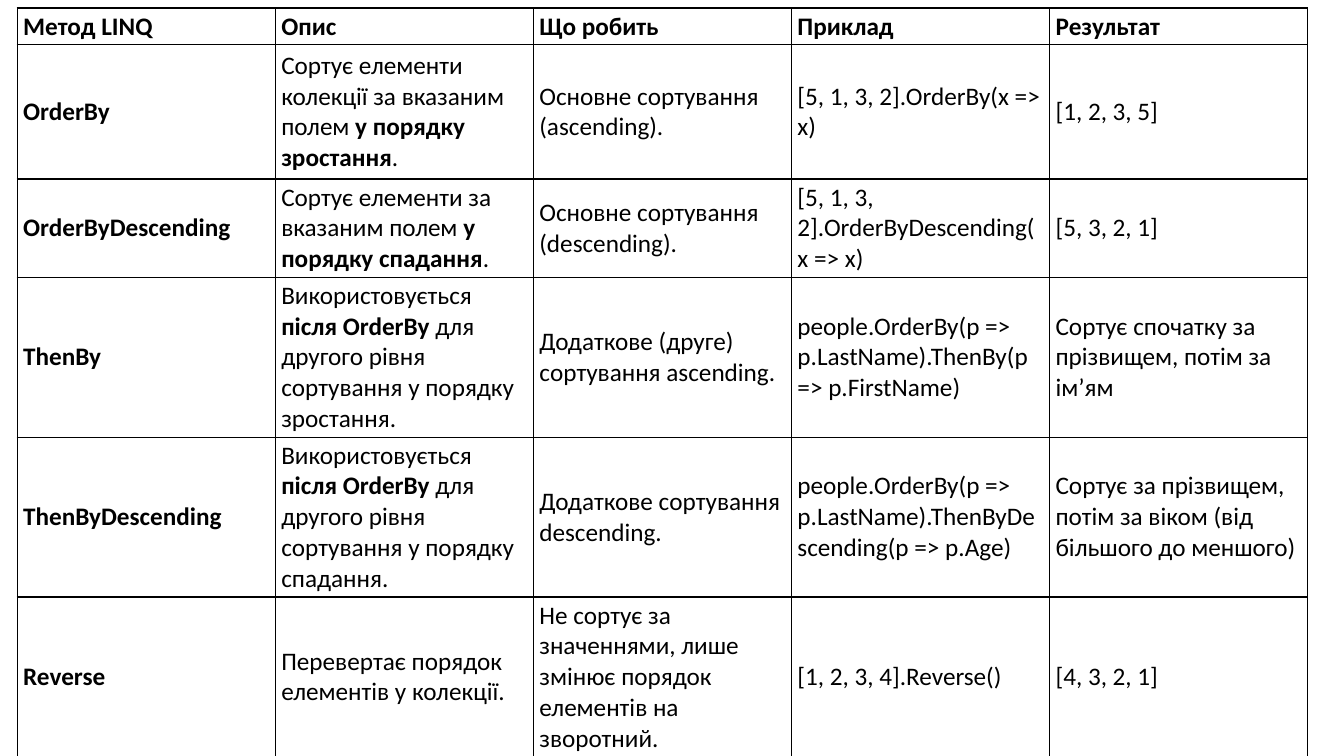
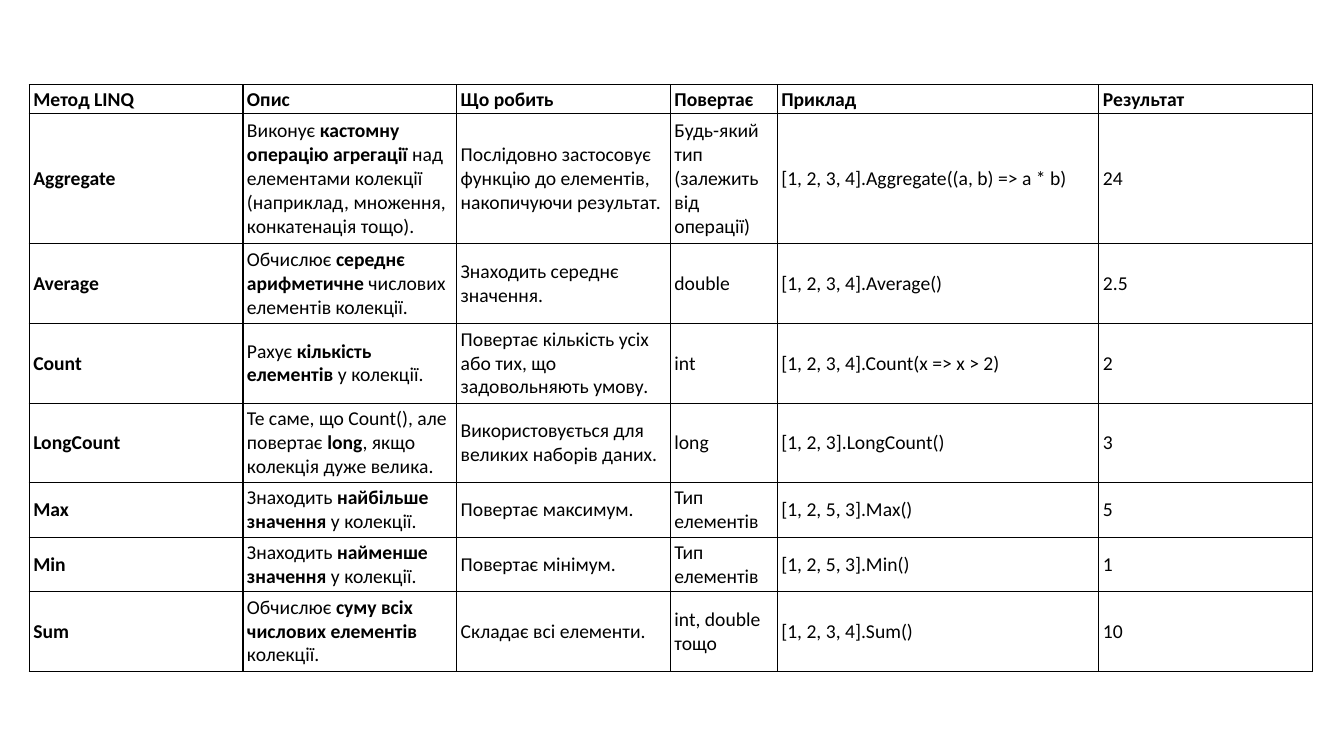
"""Builds two slides of tables that describe LINQ sorting and aggregation methods."""
import pptx
import pptx.dml.color
import pptx.enum.text
import pptx.oxml.ns
import pptx.util
from lxml import etree

Inches, Pt = pptx.util.Inches, pptx.util.Pt

COLORS = {"text": "000000", "border": "000000"}
FONT = "Calibri"
BORDER_WIDTH = Pt(1)

SORTING = {
    "left": 0.17, "top": 0.08, "size": 18, "margins": (0.06, 0.03),
    "widths": [2.56] * 5,
    "heights": [0.26, 1.33, 0.83, 1.33, 1.33, 1.33],
    "rows": [
        ("Метод LINQ", "Опис", "Що робить", "Приклад", "Результат"),
        ("OrderBy",
         "Сортує елементи колекції за вказаним полем **у порядку зростання**.",
         "Основне сортування (ascending).",
         "[5, 1, 3, 2].OrderBy(x => x)",
         "[1, 2, 3, 5]"),
        ("OrderByDescending",
         "Сортує елементи за вказаним полем **у порядку спадання**.",
         "Основне сортування (descending).",
         "[5, 1, 3, 2].OrderByDescending(x => x)",
         "[5, 3, 2, 1]"),
        ("ThenBy",
         "Використовується **після OrderBy** для другого рівня сортування у порядку зростання.",
         "Додаткове (друге) сортування ascending.",
         "people.OrderBy(p => p.LastName).ThenBy(p => p.FirstName)",
         "Сортує спочатку за прізвищем, потім за ім’ям"),
        ("ThenByDescending",
         "Використовується **після OrderBy** для другого рівня сортування у порядку спадання.",
         "Додаткове сортування descending.",
         "people.OrderBy(p => p.LastName).ThenByDescending(p => p.Age)",
         "Сортує за прізвищем, потім за віком (від більшого до меншого)"),
        ("Reverse",
         "Перевертає порядок елементів у колекції.",
         "Не сортує за значеннями, лише змінює порядок елементів на зворотний.",
         "[1, 2, 3, 4].Reverse()",
         "[4, 3, 2, 1]"),
    ],
}

AGGREGATION = {
    "left": 0.29, "top": 0.84, "size": 14, "margins": (0.04, 0.02),
    "widths": [2.12, 2.12, 2.12, 1.06, 3.19, 2.12],
    "heights": [0.29, 1.29, 0.79, 0.79, 0.79, 0.54, 0.54, 0.79],
    "rows": [
        ("Метод LINQ", "Опис", "Що робить", "Повертає", "Приклад", "Результат"),
        ("Aggregate",
         "Виконує **кастомну операцію агрегації** над елементами колекції "
         "(наприклад, множення, конкатенація тощо).",
         "Послідовно застосовує функцію до елементів, накопичуючи результат.",
         "Будь-який тип (залежить від операції)",
         "[1, 2, 3, 4].Aggregate((a, b) => a * b)",
         "24"),
        ("Average",
         "Обчислює **середнє арифметичне** числових елементів колекції.",
         "Знаходить середнє значення.",
         "double",
         "[1, 2, 3, 4].Average()",
         "2.5"),
        ("Count",
         "Рахує **кількість елементів** у колекції.",
         "Повертає кількість усіх або тих, що задовольняють умову.",
         "int",
         "[1, 2, 3, 4].Count(x => x > 2)",
         "2"),
        ("LongCount",
         "Те саме, що Count(), але повертає **long**, якщо колекція дуже велика.",
         "Використовується для великих наборів даних.",
         "long",
         "[1, 2, 3].LongCount()",
         "3"),
        ("Max",
         "Знаходить **найбільше значення** у колекції.",
         "Повертає максимум.",
         "Тип елементів",
         "[1, 2, 5, 3].Max()",
         "5"),
        ("Min",
         "Знаходить **найменше значення** у колекції.",
         "Повертає мінімум.",
         "Тип елементів",
         "[1, 2, 5, 3].Min()",
         "1"),
        ("Sum",
         "Обчислює **суму всіх числових елементів** колекції.",
         "Складає всі елементи.",
         "int, double тощо",
         "[1, 2, 3, 4].Sum()",
         "10"),
    ],
}


def add_borders(cell):
    qn = pptx.oxml.ns.qn
    tc_pr = cell._tc.get_or_add_tcPr()
    for side in ("lnL", "lnR", "lnT", "lnB"):
        line = etree.SubElement(tc_pr, qn(f"a:{side}"), w=str(int(BORDER_WIDTH)))
        fill = etree.SubElement(line, qn("a:solidFill"))
        etree.SubElement(fill, qn("a:srgbClr"), val=COLORS["border"])


def fill_cell(cell, text, size, margins, heading):
    add_borders(cell)
    cell.fill.background()
    cell.margin_left = cell.margin_right = Inches(margins[0])
    cell.margin_top = cell.margin_bottom = Inches(margins[1])
    cell.vertical_anchor = pptx.enum.text.MSO_ANCHOR.MIDDLE
    p = cell.text_frame.paragraphs[0]
    for i, part in enumerate(text.split("**")):
        r = p.add_run()
        r.text = part
        r.font.name = FONT
        r.font.size = Pt(size)
        r.font.bold = heading or i % 2 == 1
        r.font.color.rgb = pptx.dml.color.RGBColor.from_string(COLORS["text"])


def add_table_slide(prs, data):
    s = prs.slides.add_slide(prs.slide_layouts[6])
    widths, heights, rows = data["widths"], data["heights"], data["rows"]
    table = s.shapes.add_table(
        len(rows), len(widths), Inches(data["left"]), Inches(data["top"]),
        Inches(sum(widths)), Inches(sum(heights))).table
    table.first_row = table.horz_banding = False
    for column, width in zip(table.columns, widths):
        column.width = Inches(width)
    for row, height in zip(table.rows, heights):
        row.height = Inches(height)
    for i, texts in enumerate(rows):
        for j, text in enumerate(texts):
            fill_cell(table.cell(i, j), text, data["size"], data["margins"],
                      heading=i == 0 or j == 0)


def main():
    prs = pptx.Presentation()
    prs.slide_width, prs.slide_height = Inches(13.33), Inches(7.5)
    for data in (SORTING, AGGREGATION):
        add_table_slide(prs, data)
    prs.save("out.pptx")


if __name__ == "__main__":
    main()
